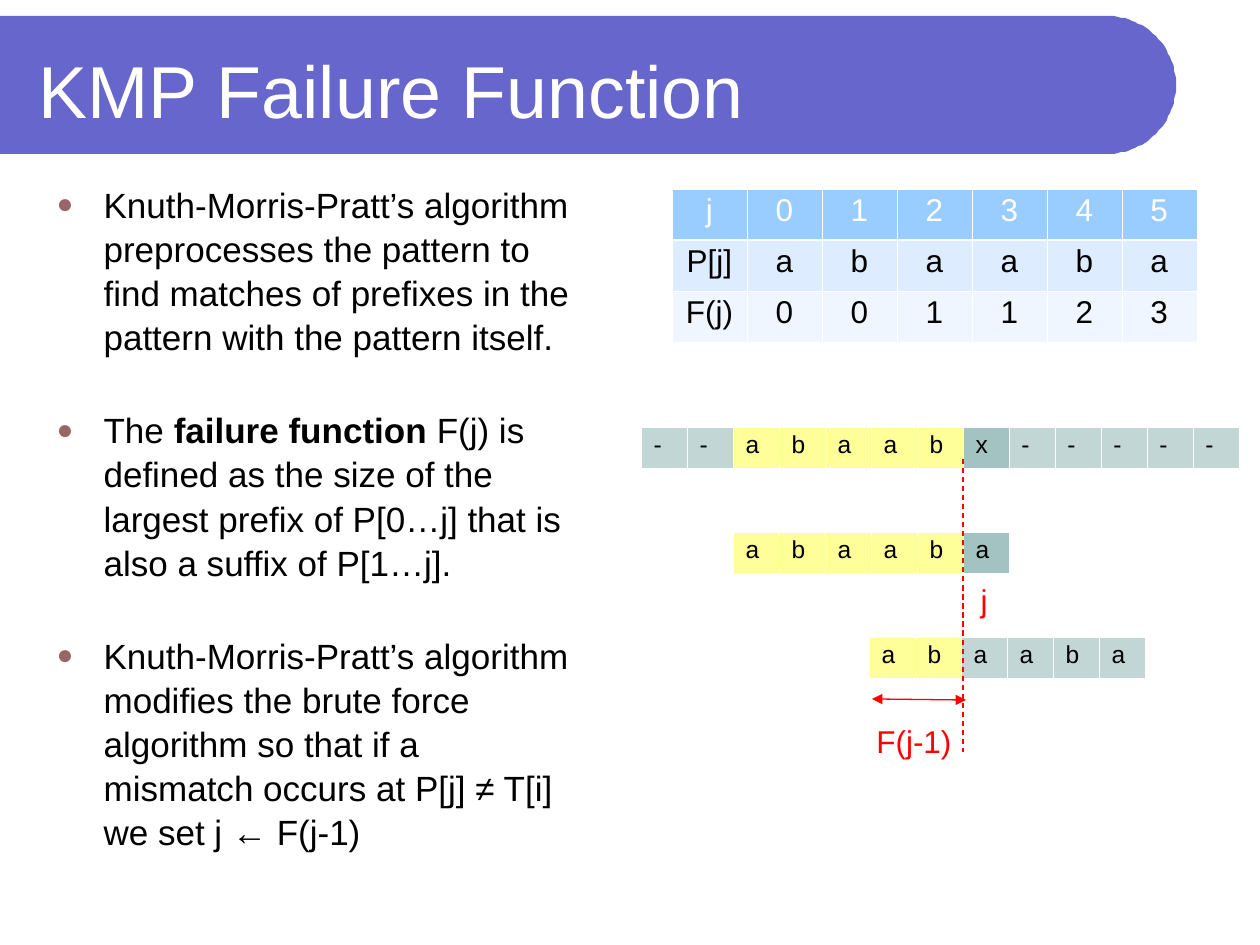
"""Build the slide on the failure function of the KMP algorithm."""
from math import cos, radians, sin

from lxml.etree import SubElement
from pptx import Presentation
from pptx.dml.color import RGBColor
from pptx.enum.dml import MSO_LINE
from pptx.enum.shapes import MSO_CONNECTOR
from pptx.enum.text import MSO_ANCHOR, MSO_AUTO_SIZE, PP_ALIGN
from pptx.oxml import parse_xml
from pptx.oxml.ns import nsdecls, qn
from pptx.util import Emu, Pt

SCALE = 914400 / 126
WHITE, BLACK, RED = "FFFFFF", "000000", "FF0000"
GOLD, PALE, TEAL = "FFFF99", "C2D6D6", "A3C2C2"


def px(*nums):
    return [Emu(round(num * SCALE)) for num in nums]


def style(item, size, color):
    item.font.name = "Arial"
    item.font.size = Pt(size)
    item.font.color.rgb = RGBColor.from_string(color)


deck = Presentation()
deck.slide_width, deck.slide_height = px(1260, 945)
slide = deck.slides.add_slide(deck.slide_layouts[1])
shapes = slide.shapes
title, body = slide.placeholders

arc = [(1107 + 69 * cos(radians(deg)), 85 + 69 * sin(radians(deg)))
       for deg in range(-90, 91, 3)]
pen = shapes.build_freeform(0, 16, scale=SCALE)
pen.add_line_segments(arc + [(0, 154)], close=True)
banner = pen.convert_to_shape()
banner.shadow.inherit = False
banner.fill.solid()
banner.fill.fore_color.rgb = RGBColor.from_string("6666CC")
banner.line.fill.background()
title.element.addprevious(banner.element)

title.left, title.top, title.width, title.height = px(26, 26, 1105, 126)
frame = title.text_frame
frame.text = "KMP Failure Function"
frame.auto_size = MSO_AUTO_SIZE.NONE
frame.vertical_anchor = MSO_ANCHOR.MIDDLE
frame.paragraphs[0].alignment = PP_ALIGN.LEFT
style(frame.paragraphs[0], 42, WHITE)

points = [
    ["Knuth-Morris-Pratt’s algorithm preprocesses the pattern to find "
     "matches of prefixes in the pattern with the pattern itself."],
    ["The ", "failure function ", "F(j) is defined as the size of the "
     "largest prefix of P[0…j] that is also a suffix of P[1…j]."],
    ["Knuth-Morris-Pratt’s algorithm modifies the brute force algorithm "
     "so that if a mismatch occurs at P[j] ≠ T[i] we set j ← F(j-1)"],
]
body.left, body.top, body.width, body.height = px(44, 175, 543, 725)
frame = body.text_frame
frame.auto_size = MSO_AUTO_SIZE.NONE
for num, parts in enumerate(points):
    para = frame.add_paragraph() if num else frame.paragraphs[0]
    para.line_spacing = 1.05
    para.space_before = Pt(28 if num else 0)
    props = para._p.get_or_add_pPr()
    dent = px(47)[0]
    props.set("marL", str(dent))
    props.set("indent", str(-dent))
    tint = SubElement(props, qn("a:buClr"))
    SubElement(tint, qn("a:srgbClr"), val="996666")
    SubElement(props, qn("a:buSzPct"), val="80000")
    SubElement(props, qn("a:buFont"), typeface="Arial")
    SubElement(props, qn("a:buChar"), char="●")
    style(para, 20, BLACK)
    for part in parts:
        run = para.add_run()
        run.text = part
        if part == "failure function ":
            run.font.bold = True

strips = [
    (641, 427, 46, 42, 14, PP_ALIGN.LEFT, ["--abaabx-----"],
     [[PALE] * 2 + [GOLD] * 5 + [TEAL] + [PALE] * 5], [BLACK]),
    (733, 532, 46, 42, 14, PP_ALIGN.LEFT, ["abaaba"],
     [[GOLD] * 5 + [TEAL]], [BLACK]),
    (869, 637, 46, 42, 14, PP_ALIGN.LEFT, ["abaaba"],
     [[GOLD] * 2 + [PALE] * 4], [BLACK]),
    (672, 189, 75, 51, 18, PP_ALIGN.CENTER,
     ["j012345", ["P[j]", *"abaaba"], ["F(j)", *"001123"]],
     [["99CCFF"] * 7, ["DEECFF"] * 7, ["EFF6FF"] * 7],
     [WHITE, BLACK, BLACK]),
]
for left, top, wide, high, size, align, rows, fills, inks in strips:
    count = len(rows[0])
    grid = shapes.add_table(len(rows), count, *px(
        left, top, wide * count, high * len(rows))).table
    grid.first_row = grid.horz_banding = False
    for y, row in enumerate(rows):
        for x, text in enumerate(row):
            cell = grid.cell(y, x)
            cell.text = text
            para = cell.text_frame.paragraphs[0]
            para.alignment = align
            para.line_spacing = 0.93
            style(para, size, inks[y])
            props = cell._tc.get_or_add_tcPr()
            for side in "LRTB":
                thick = (side, y) in [("B", 0), ("T", 1)]
                edge = SubElement(props, qn(f"a:ln{side}"),
                                  w=str(Pt(0.75 if thick else 0.23)))
                fill = SubElement(edge, qn("a:solidFill"))
                SubElement(fill, qn("a:srgbClr"), val=WHITE)
            cell.fill.solid()
            cell.fill.fore_color.rgb = RGBColor.from_string(fills[y][x])

for ends, arrow in [((963, 459, 963, 752), False),
                    ((872, 699, 966, 700), True)]:
    line = shapes.add_connector(MSO_CONNECTOR.STRAIGHT, *px(*ends))
    line.line.width = Pt(0.75)
    line.line.color.rgb = RGBColor.from_string(RED)
    if arrow:
        for tip in ("headEnd", "tailEnd"):
            SubElement(line.line._get_or_add_ln(), qn(f"a:{tip}"),
                       type="triangle")
    else:
        line.line.dash_style = MSO_LINE.DASH
    line.element.spPr.append(parse_xml(f"<a:effectLst {nsdecls('a')}/>"))

for text, spot in [("j", (968, 575, 32, 50)), ("F(j-1)", (864, 716, 100, 50))]:
    frame = shapes.add_textbox(*px(*spot)).text_frame
    frame.word_wrap = False
    frame.text = text
    frame.paragraphs[0].alignment = PP_ALIGN.CENTER
    style(frame.paragraphs[0], 18, RED)

deck.save("out.pptx")
